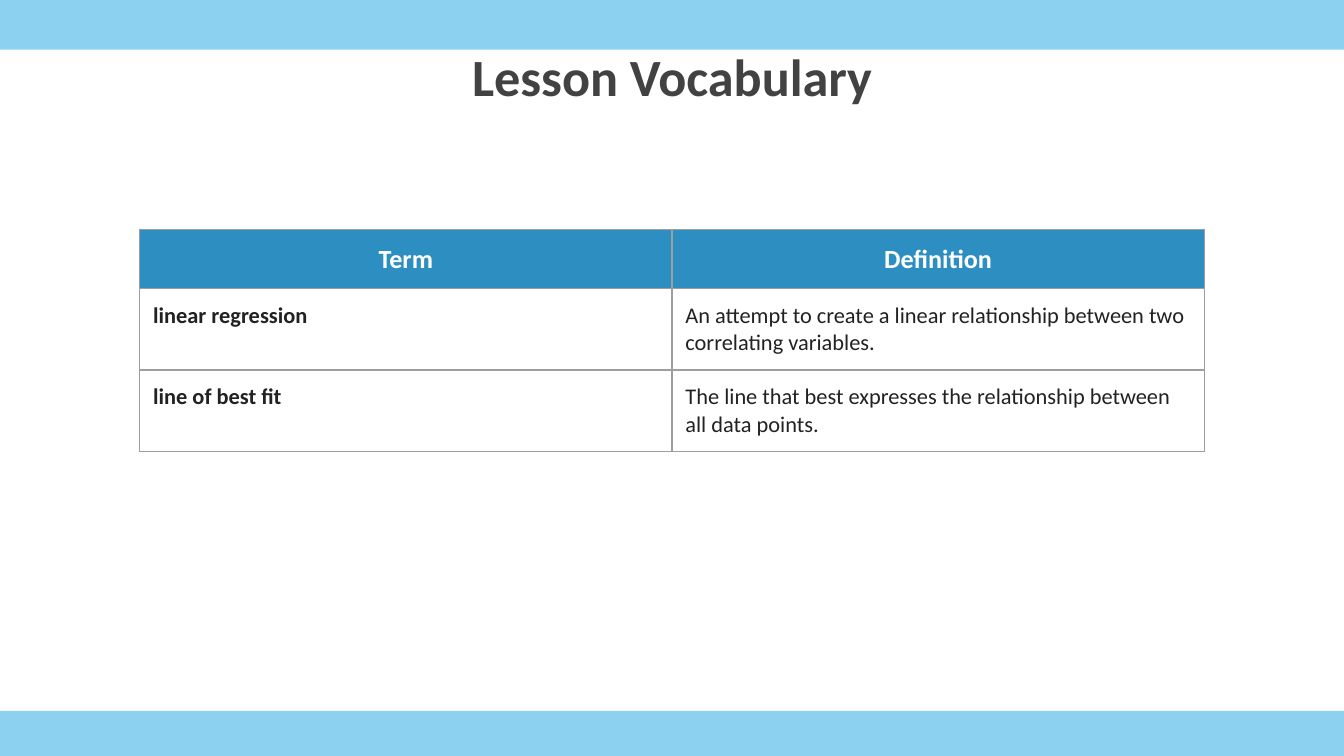
import pptx
import pptx.dml.color
import pptx.enum.shapes
import pptx.enum.text
import pptx.oxml
import pptx.oxml.ns
import pptx.util
from dataclasses import dataclass
from lxml import etree

Inches = pptx.util.Inches
PP_ALIGN = pptx.enum.text.PP_ALIGN
qn = pptx.oxml.ns.qn


@dataclass(frozen=True)
class Theme:
    font: str = "Calibri"
    band: str = "27A9E1"
    band_alpha: int = 53
    title: str = "424242"
    header: str = "2D8EC2"
    paper: str = "FFFFFF"
    ink: str = "222222"
    border: str = "9E9E9E"
    border_pt: float = 0.75
    title_pt: int = 28
    header_pt: int = 14
    body_pt: int = 12


THEME = Theme()
ROWS = [
    ("Term", "Definition"),
    ("linear regression",
     "An attempt to create a linear relationship between two correlating variables."),
    ("line of best fit",
     "The line that best expresses the relationship between all data points."),
]


def rgb(color):
    return pptx.dml.color.RGBColor.from_string(color)


def style_paragraph(p, size, color, bold, align):
    p.alignment = align
    p.font.name = THEME.font
    p.font.size = pptx.util.Pt(size)
    p.font.bold = bold
    p.font.color.rgb = rgb(color)


def set_margins(box):
    box.margin_left = box.margin_right = Inches(0.1)
    box.margin_top = box.margin_bottom = Inches(0.1)


def add_band(s, top):
    sp = s.shapes.add_shape(pptx.enum.shapes.MSO_SHAPE.RECTANGLE,
                            0, Inches(top), Inches(10), Inches(0.37))
    sp.shadow.inherit = False
    sp.line.fill.background()
    sp.fill.solid()
    sp.fill.fore_color.rgb = rgb(THEME.band)
    color = sp.fill._xPr.find(".//" + qn("a:srgbClr"))
    etree.SubElement(color, qn("a:alpha"), val=str(THEME.band_alpha * 1000))
    # Bands lie behind the title
    s.shapes._spTree.insert(2, sp._element)


def set_title(s, text):
    sp = s.shapes.title
    sp.left, sp.top = Inches(0.5), Inches(0.23)
    sp.width, sp.height = Inches(9), Inches(0.94)
    tf = sp.text_frame
    tf.text = text
    tf.word_wrap = True
    tf.auto_size = pptx.enum.text.MSO_AUTO_SIZE.NONE
    tf.vertical_anchor = pptx.enum.text.MSO_ANCHOR.TOP
    set_margins(tf)
    style_paragraph(tf.paragraphs[0], THEME.title_pt, THEME.title, True, PP_ALIGN.CENTER)


def set_borders(cell):
    tc_pr = cell._tc.get_or_add_tcPr()
    # Border lines come before the fill in a cell's properties
    for i, side in enumerate(("a:lnL", "a:lnR", "a:lnT", "a:lnB")):
        ln = etree.Element(qn(side), w=str(pptx.util.Pt(THEME.border_pt)))
        fill = etree.SubElement(ln, qn("a:solidFill"))
        etree.SubElement(fill, qn("a:srgbClr"), val=THEME.border)
        tc_pr.insert(i, ln)


def fill_cell(cell, text, is_header, is_term):
    cell.text = text
    set_margins(cell)
    if is_header:
        cell.fill.solid()
        cell.fill.fore_color.rgb = rgb(THEME.header)
    else:
        cell.fill.background()
    p = cell.text_frame.paragraphs[0]
    if is_header:
        style_paragraph(p, THEME.header_pt, THEME.paper, True, PP_ALIGN.CENTER)
    else:
        style_paragraph(p, THEME.body_pt, THEME.ink, is_term, PP_ALIGN.LEFT)
    set_borders(cell)


def add_vocabulary(s, rows):
    row_height, col_width = 0.42, 3.96
    table = s.shapes.add_table(len(rows), 2, Inches(1.04), Inches(1.71),
                               Inches(2 * col_width),
                               Inches(len(rows) * row_height)).table
    table.horz_banding = False
    for r, texts in enumerate(rows):
        for c, text in enumerate(texts):
            fill_cell(table.cell(r, c), text, r == 0, c == 0)


def main():
    prs = pptx.Presentation()
    # Widescreen, 16 by 9
    prs.slide_width, prs.slide_height = Inches(10), Inches(10 * 9 / 16)
    s = prs.slides.add_slide(prs.slide_layouts[5])

    # Title and the bands at top and bottom
    set_title(s, "Lesson Vocabulary")
    for top in (5.29, 0):
        add_band(s, top)

    # Vocabulary table
    add_vocabulary(s, ROWS)

    prs.save("out.pptx")


if __name__ == "__main__":
    main()
